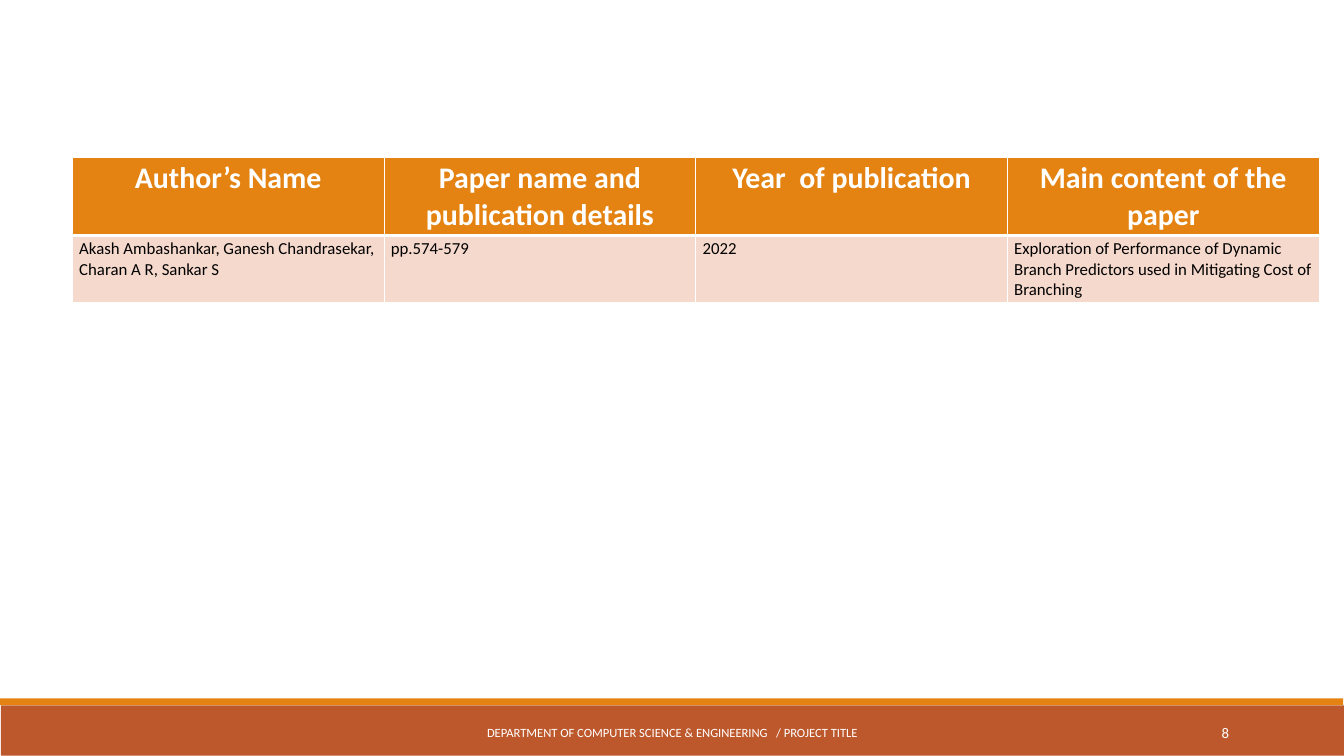
from lxml import etree
from pptx import Presentation
from pptx.dml.color import RGBColor
from pptx.enum import shapes, text
from pptx.oxml import ns
from pptx.util import Cm, Pt

HEAD = ["Author’s Name", "Paper name and publication details",
        "Year  of publication", "Main content of the paper"]
BODY = ["Akash Ambashankar, Ganesh Chandrasekar, Charan A R, Sankar S",
        "pp.574-579", "2022",
        "Exploration of Performance of Dynamic Branch Predictors used in "
        "Mitigating Cost of Branching"]
FOOT = "DEPARTMENT OF COMPUTER SCIENCE & ENGINEERING   / PROJECT TITLE"
PAGE = "8"

FONT = "Calibri"
WHITE = RGBColor(0xFF, 0xFF, 0xFF)
BLACK = RGBColor(0, 0, 0)
RUST = RGBColor(0xBD, 0x58, 0x2C)
AMBER = RGBColor(0xE4, 0x83, 0x12)
PINK = RGBColor(0xF5, 0xD9, 0xCC)
LEFT, MID, RIGHT = text.PP_ALIGN.LEFT, text.PP_ALIGN.CENTER, text.PP_ALIGN.RIGHT

BARS = [(0.03, 26.67, 50.77, 1.9, RUST), (0, 26.4, 50.77, 0.26, AMBER)]
NOTES = [(FOOT, 15.37, 20.09, 13.5, MID), (PAGE, 41.25, 5.46, 15.8, RIGHT)]
ROWS = [(HEAD, 32, True, WHITE, AMBER, MID, {"L": 1, "R": 1, "T": 1, "B": 3}),
        (BODY, 18, False, BLACK, PINK, LEFT, {"L": 1, "R": 1, "T": 3, "B": 1})]


def write(frame, words, size, color, align, bold=False):
    par = frame.paragraphs[0]
    par.text = words
    par.alignment = align
    font = par.font
    font.name, font.size, font.bold = FONT, Pt(size), bold
    font.color.rgb = color


def edge(cell, sides):
    props = cell._tc.get_or_add_tcPr()
    for spot, (side, width) in enumerate(sides.items()):
        line = etree.Element(ns.qn("a:ln" + side), w=str(Pt(width)))
        fill = etree.SubElement(line, ns.qn("a:solidFill"))
        etree.SubElement(fill, ns.qn("a:srgbClr"), val=str(WHITE))
        props.insert(spot, line)


def main():
    deck = Presentation()
    deck.slide_width, deck.slide_height = Cm(50.8), Cm(28.58)
    slide = deck.slides.add_slide(deck.slide_layouts[6])

    for x, y, w, h, color in BARS:
        bar = slide.shapes.add_shape(shapes.MSO_SHAPE.RECTANGLE,
                                     Cm(x), Cm(y), Cm(w), Cm(h))
        bar.shadow.inherit = False
        bar.fill.solid()
        bar.fill.fore_color.rgb = color
        bar.line.fill.background()

    for words, x, w, size, align in NOTES:
        frame = slide.shapes.add_textbox(Cm(x), Cm(26.92), Cm(w), Cm(1.53)).text_frame
        frame.word_wrap = True
        frame.vertical_anchor = text.MSO_ANCHOR.MIDDLE
        write(frame, words, size, WHITE, align)

    table = slide.shapes.add_table(len(ROWS), len(HEAD), Cm(2.74), Cm(5.94),
                                   Cm(47.12), Cm(4.55)).table
    for r, (row, size, bold, ink, back, align, sides) in enumerate(ROWS):
        for c, words in enumerate(row):
            cell = table.cell(r, c)
            write(cell.text_frame, words, size, ink, align, bold)
            cell.fill.solid()
            cell.fill.fore_color.rgb = back
            edge(cell, sides)

    deck.save("out.pptx")


if __name__ == "__main__":
    main()
